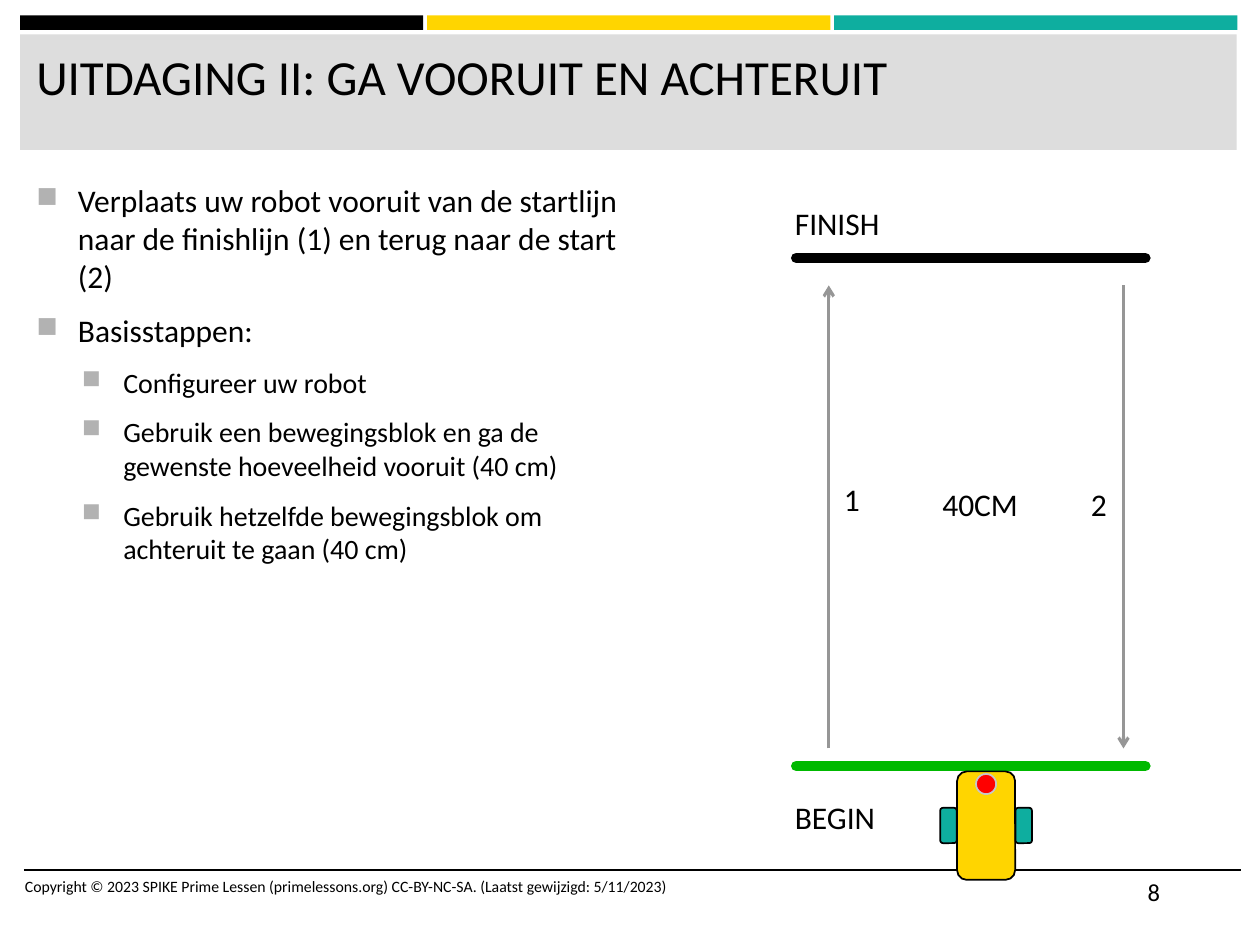
"""Build the slide 'Uitdaging II: ga vooruit en achteruit'."""
from lxml import etree
from pptx import Presentation
from pptx.dml.color import RGBColor
from pptx.enum.shapes import MSO_CONNECTOR, MSO_SHAPE
from pptx.enum.text import MSO_ANCHOR, PP_ALIGN
from pptx.oxml.ns import qn
from pptx.util import Pt

STRAIGHT = MSO_CONNECTOR.STRAIGHT
RECTANGLE = MSO_SHAPE.RECTANGLE
ROUNDED = MSO_SHAPE.ROUNDED_RECTANGLE
OVAL = MSO_SHAPE.OVAL
TOP = MSO_ANCHOR.TOP
LEFT = PP_ALIGN.LEFT

BLACK = RGBColor(0, 0, 0)
YELLOW = RGBColor(0xFF, 0xD5, 0x00)
TEAL = RGBColor(0x0E, 0xAE, 0x9F)
PALE_GREY = RGBColor(0xDD, 0xDD, 0xDD)
ARROW_GREY = RGBColor(0x96, 0x96, 0x96)
RIM_GREY = RGBColor(0xC7, 0xC7, 0xC7)
GREEN = RGBColor(0x00, 0xB9, 0x00)
RED = RGBColor(0xFF, 0, 0)
BULLET_HEX = "B2B2B2"
FONT = "Calibri"

TITLE = "UITDAGING II: GA VOORUIT EN ACHTERUIT"
STEPS = [
    (0, "Verplaats uw robot vooruit van de startlijn naar de finishlijn (1) en terug naar de start (2)"),
    (0, "Basisstappen:"),
    (1, "Configureer uw robot"),
    (1, "Gebruik een bewegingsblok en ga de gewenste hoeveelheid vooruit (40 cm)"),
    (1, "Gebruik hetzelfde bewegingsblok om achteruit te gaan (40 cm)"),
]
LEVELS = [{"size": 18, "indent": 23.76}, {"size": 16, "indent": 49.68}]
HANGING = 23.76
COPYRIGHT = "Copyright © 2023 SPIKE Prime Lessen (primelessons.org) CC-BY-NC-SA. (Laatst gewijzigd: 5/11/2023)"
LABELS = [
    (TITLE, 13.7, 23, 689, 59, 28),
    ("8", 648.7, 497.5, 60.5, 29, 14),
    ("1", 475.2, 270.7, 24.5, 29, 18),
    ("2", 616.3, 273.6, 24.5, 29, 18),
    ("FINISH", 447.1, 113, 74, 29, 18),
    ("BEGIN", 447.1, 452.2, 72, 29, 18),
    ("40CM", 531.4, 273.6, 64.8, 29, 18),
    (COPYRIGHT, 7.2, 497.5, 712.8, 29, 9),
]

BAR_COLORS = [BLACK, YELLOW, TEAL]
BAR_LEFT, BAR_TOP, BAR_WIDTH, BAR_HEIGHT, BAR_PITCH = 11.5, 8.8, 230.4, 8.4, 232.6
BANNER = (11.5, 19.7, 695.2, 66)

FINISH_Y, START_Y = 147.4, 437.7
FAR_Y, NEAR_Y = 163.1, 427.7
LINES = [
    {"points": (13.7, 497.2, 709.2, 497.2), "color": BLACK, "width": 1},
    {"points": (654.5, FINISH_Y, 455, FINISH_Y), "color": BLACK, "width": 6, "cap": "rnd"},
    {"points": (654.5, START_Y, 455, START_Y), "color": GREEN, "width": 6, "cap": "rnd"},
    {"points": (473.6, NEAR_Y, 473.6, FAR_Y), "color": ARROW_GREY, "width": 1.75, "arrow": True},
    {"points": (642, FAR_Y, 642, NEAR_Y), "color": ARROW_GREY, "width": 1.75, "arrow": True},
]
ROBOT_CENTER = 563.5
ROBOT_PARTS = [
    (ROUNDED, 0, 440.8, 33.2, 62, YELLOW, BLACK),
    (ROUNDED, 21.5, 461.6, 9.4, 20.2, TEAL, BLACK),
    (ROUNDED, -21.5, 461.6, 9.4, 20.2, TEAL, BLACK),
    (OVAL, 0, 442.3, 11.5, 11.5, RED, RIM_GREY),
]


def points(values):
    return [Pt(value) for value in values]


def add_shape(container, kind, box, fill, outline=None):
    shape = container.add_shape(kind, *points(box))
    shape.shadow.inherit = False
    shape.fill.solid()
    shape.fill.fore_color.rgb = fill
    if outline is None:
        shape.line.fill.background()
    else:
        shape.line.color.rgb = outline
        shape.line.width = Pt(1)


def add_line(slide, line):
    connector = slide.shapes.add_connector(STRAIGHT, *points(line["points"]))
    connector.line.color.rgb = line["color"]
    connector.line.width = Pt(line["width"])
    properties = connector.line._get_or_add_ln()
    if "cap" in line:
        properties.set("cap", line["cap"])
    if line.get("arrow"):
        etree.SubElement(properties, qn("a:tailEnd"), type="arrow")
    etree.SubElement(connector._element.spPr, qn("a:effectLst"))


def add_text_frame(slide, box, wrap=True):
    frame = slide.shapes.add_textbox(*points(box)).text_frame
    frame.word_wrap = wrap
    frame.vertical_anchor = TOP
    return frame


def write(paragraph, text, size):
    paragraph.text = text
    paragraph.alignment = LEFT
    for name, value in {"name": FONT, "size": Pt(size)}.items():
        setattr(paragraph.font, name, value)
    paragraph.font.color.rgb = BLACK


def add_bullet(paragraph, indent):
    properties = paragraph._p.get_or_add_pPr()
    properties.set("marL", str(Pt(indent)))
    properties.set("indent", str(-Pt(HANGING)))
    color = etree.SubElement(properties, qn("a:buClr"))
    etree.SubElement(color, qn("a:srgbClr"), val=BULLET_HEX)
    etree.SubElement(properties, qn("a:buSzPct"), val="92000")
    etree.SubElement(properties, qn("a:buChar"), char="■")


def add_steps(slide):
    frame = add_text_frame(slide, (13.7, 100, 358.6, 344))
    for index, (level, text) in enumerate(STEPS):
        paragraph = frame.add_paragraph() if index else frame.paragraphs[0]
        style = LEVELS[level]
        add_bullet(paragraph, style["indent"])
        write(paragraph, text, style["size"])
        paragraph.level = level
        paragraph.space_before = Pt(0.2 * style["size"] if index else 0)
        paragraph.space_after = Pt(6)


def main():
    presentation = Presentation()
    presentation.slide_width, presentation.slide_height = Pt(720), Pt(540)
    slide = presentation.slides.add_slide(presentation.slide_layouts[6])
    for index, color in enumerate(BAR_COLORS):
        bar = (BAR_LEFT + index * BAR_PITCH, BAR_TOP, BAR_WIDTH, BAR_HEIGHT)
        add_shape(slide.shapes, RECTANGLE, bar, color)
    add_shape(slide.shapes, RECTANGLE, BANNER, PALE_GREY)
    for line in LINES:
        add_line(slide, line)
    add_steps(slide)
    robot = slide.shapes.add_group_shape()
    for kind, offset, top, width, height, fill, outline in ROBOT_PARTS:
        box = (ROBOT_CENTER + offset - width / 2, top, width, height)
        add_shape(robot.shapes, kind, box, fill, outline)
    for text, left, top, width, height, size in LABELS:
        frame = add_text_frame(slide, (left, top, width, height))
        write(frame.paragraphs[0], text, size)
    presentation.save("out.pptx")


if __name__ == "__main__":
    main()
